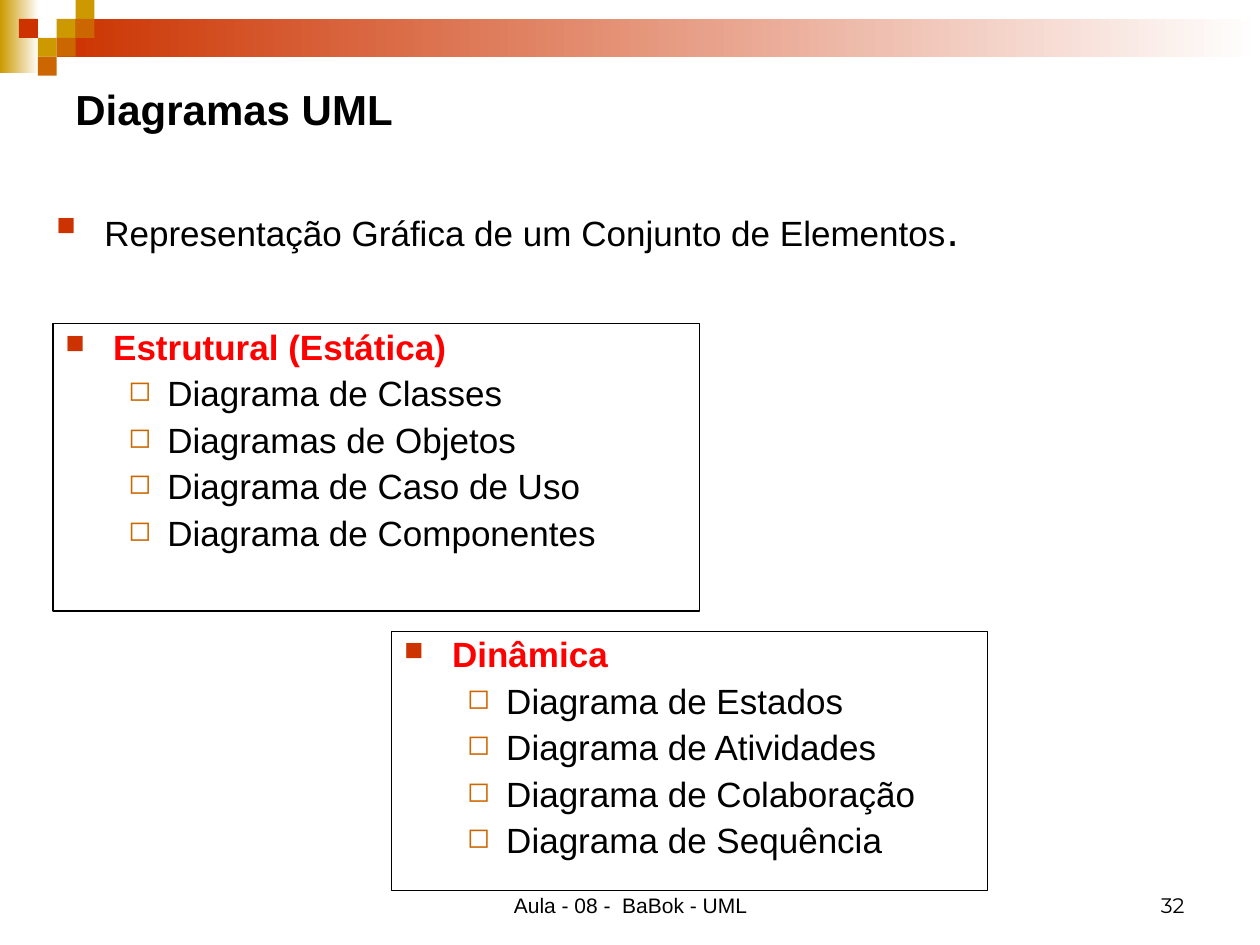
from dataclasses import dataclass

from lxml import etree
from pptx import Presentation
from pptx.dml.color import RGBColor
from pptx.enum import shapes, text
from pptx.oxml.ns import qn
from pptx import util as u

PX = 9144  # EMU in one px, 100 px to the inch


@dataclass(frozen=True)
class Theme:
    font: str = "Arial"
    number_font: str = "Montserrat"
    black: str = "000000"
    white: str = "FFFFFF"
    heading: str = "FF0000"
    red: str = "CC3300"
    gold: str = "CC9900"
    orange: str = "CC6600"
    title_size: int = 24
    body_size: int = 20
    stop_size: int = 26
    footer_size: int = 12


@dataclass(frozen=True)
class Box:
    left: int
    top: int
    width: int
    height: int

    def emu(self) -> list[int]:
        return [n * PX for n in (self.left, self.top, self.width, self.height)]


@dataclass(frozen=True)
class Bullet:
    char: str
    color: str
    percent: int
    margin: int
    hang: int


@dataclass(frozen=True)
class Panel:
    box: Box
    heading: str
    diagrams: tuple[str, ...]


THEME = Theme()
MAIN = Bullet("■", THEME.red, 75, 38, 38)
SUB = Bullet("◻", THEME.orange, 80, 81, 31)

BANDS = [
    (Box(0, 0, 31, 58), THEME.gold),
    (Box(45, 15, 955, 30), THEME.red),
]
TILE = 15
TILES = [  # column, row, colour
    (3, 1, THEME.gold), (4, 0, THEME.gold), (4, 1, THEME.orange),
    (2, 2, THEME.gold), (1, 1, THEME.red), (3, 2, THEME.orange),
    (2, 3, THEME.orange),
]
PANELS = [
    Panel(Box(42, 257, 513, 228), "Estrutural (Estática)",
          ("Diagrama de Classes", "Diagramas de Objetos",
           "Diagrama de Caso de Uso", "Diagrama de Componentes")),
    Panel(Box(311, 501, 473, 206), "Dinâmica",
          ("Diagrama de Estados", "Diagrama de Atividades",
           "Diagrama de Colaboração", "Diagrama de Sequência")),
]


def add_rect(slide, box: Box):
    rect = slide.shapes.add_shape(shapes.MSO_SHAPE.RECTANGLE, *box.emu())
    rect.shadow.inherit = False
    return rect


def add_tile(slide, box: Box, color: str) -> None:
    tile = add_rect(slide, box)
    tile.fill.solid()
    tile.fill.fore_color.rgb = RGBColor.from_string(color)
    tile.line.fill.background()


def add_band(slide, box: Box, color: str) -> None:
    band = add_rect(slide, box)
    band.fill.gradient()
    band.fill.gradient_angle = 0
    for stop, shade in zip(band.fill.gradient_stops, (color, THEME.white)):
        stop.color.rgb = RGBColor.from_string(shade)
    band.line.fill.background()


def set_bullet(paragraph, bullet: Bullet) -> None:
    props = paragraph._p.get_or_add_pPr()
    props.set("marL", str(bullet.margin * PX))
    props.set("indent", str(-bullet.hang * PX))
    color = etree.SubElement(props, qn("a:buClr"))
    etree.SubElement(color, qn("a:srgbClr"), val=bullet.color)
    etree.SubElement(props, qn("a:buSzPct"), val=str(bullet.percent * 1000))
    etree.SubElement(props, qn("a:buChar"), char=bullet.char)


def set_font(font, size: int, color: str = THEME.black, bold: bool = False,
             name: str = THEME.font) -> None:
    font.name, font.size, font.bold = name, u.Pt(size), bold
    font.color.rgb = RGBColor.from_string(color)


def add_label(slide, box: Box, words: str, size: int, anchor, align,
              bold: bool = False, name: str = THEME.font) -> None:
    frame = slide.shapes.add_textbox(*box.emu()).text_frame
    frame.word_wrap = True
    frame.vertical_anchor = anchor
    label = frame.paragraphs[0]
    label.text, label.alignment = words, align
    set_font(label.font, size, bold=bold, name=name)


def add_panel(slide, panel: Panel) -> None:
    rect = add_rect(slide, panel.box)
    rect.fill.background()
    rect.line.color.rgb = RGBColor.from_string(THEME.black)
    rect.line.width = u.Pt(0.75)
    frame = rect.text_frame
    frame.word_wrap = True
    frame.vertical_anchor = text.MSO_ANCHOR.TOP
    for i, words in enumerate((panel.heading, *panel.diagrams)):
        line = frame.paragraphs[0] if i == 0 else frame.add_paragraph()
        line.text = words
        line.level = min(i, 1)
        set_bullet(line, SUB if i else MAIN)
        line.alignment = text.PP_ALIGN.LEFT
        line.line_spacing = 0.9
        if i:
            line.space_before = u.Pt(5)
        set_font(line.font, THEME.body_size,
                 THEME.black if i else THEME.heading, bold=i == 0)


def add_summary(slide, box: Box) -> None:
    frame = slide.shapes.add_textbox(*box.emu()).text_frame
    frame.word_wrap = True
    summary = frame.paragraphs[0]
    set_bullet(summary, MAIN)
    for words, size in (
        ("Representação Gráfica de um Conjunto de Elementos", THEME.body_size),
        (".", THEME.stop_size),
    ):
        run = summary.add_run()
        run.text = words
        set_font(run.font, size)


def main() -> None:
    deck = Presentation()
    deck.slide_width, deck.slide_height = 1000 * PX, 750 * PX
    slide = deck.slides.add_slide(deck.slide_layouts[6])
    align, anchor = text.PP_ALIGN, text.MSO_ANCHOR

    # Header decoration
    for box, color in BANDS:
        add_band(slide, box, color)
    for column, row, color in TILES:
        add_tile(slide, Box(column * TILE, row * TILE, TILE, TILE), color)

    # Title and summary
    add_label(slide, Box(50, 50, 900, 72), "Diagramas UML", THEME.title_size,
              anchor.MIDDLE, align.LEFT, bold=True)
    add_summary(slide, Box(35, 155, 900, 64))

    # Diagram families
    for panel in PANELS:
        add_panel(slide, panel)

    # Footer
    add_label(slide, Box(342, 683, 317, 50), "Aula - 08 -  BaBok - UML",
              THEME.footer_size, anchor.BOTTOM, align.CENTER)
    add_label(slide, Box(717, 683, 233, 50), "32", THEME.footer_size,
              anchor.BOTTOM, align.RIGHT, name=THEME.number_font)

    deck.save("out.pptx")


if __name__ == "__main__":
    main()
